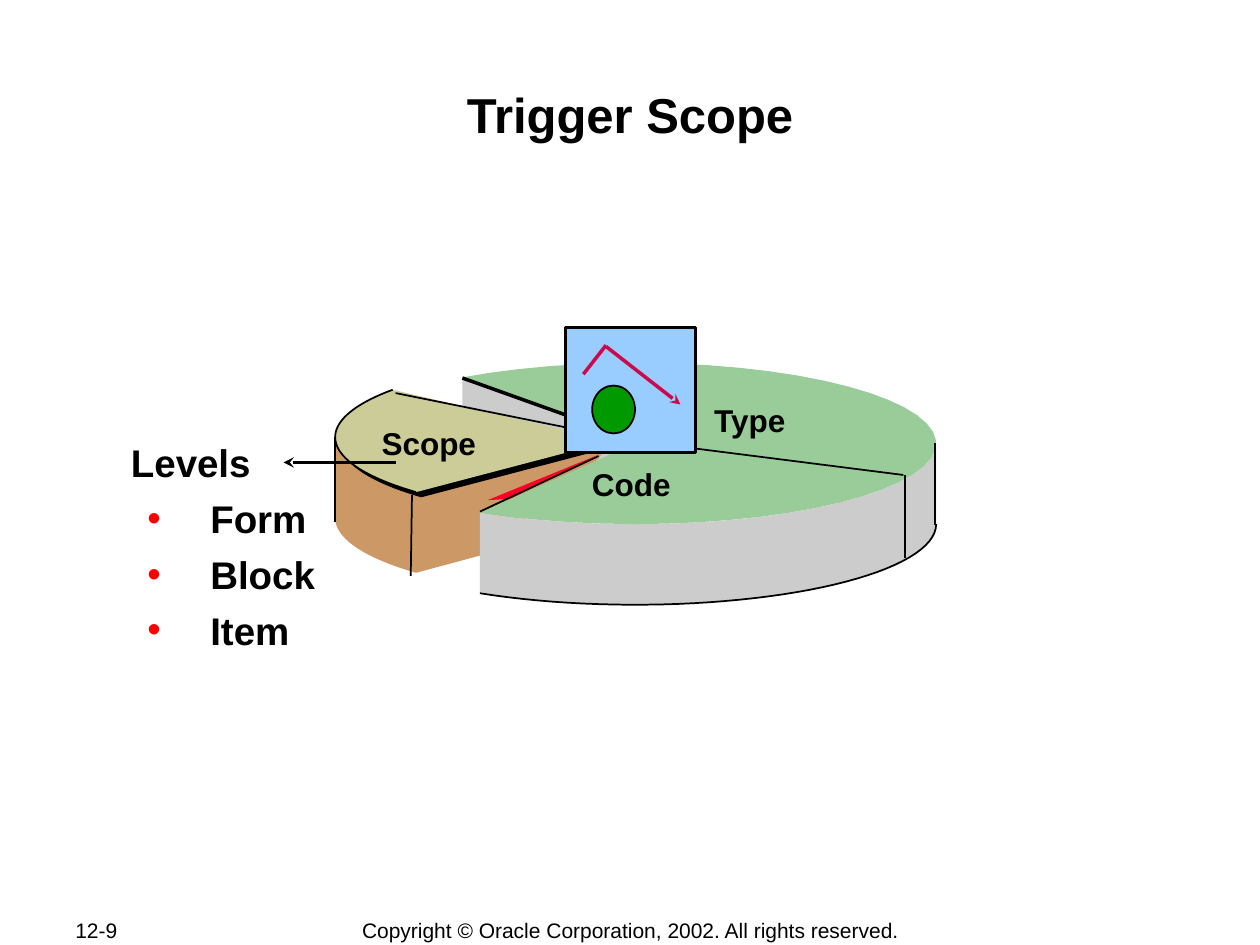
"""Build the Trigger Scope slide: an exploded pie with its levels and footer."""
import math

from lxml import etree
from pptx import Presentation
from pptx import util as u
from pptx.dml.color import RGBColor
from pptx.enum import shapes, text
from pptx.oxml import ns

COLORS = {name: RGBColor.from_string(code) for name, code in {
    "black": "000000", "green": "99CC99", "grey": "CCCCCC", "tan": "CC9966",
    "khaki": "CCCC99", "red": "FC0128", "sky": "99CCFF", "ball": "009900",
    "magenta": "CB0A4C"}.items()}

deck = Presentation()
deck.slide_width, deck.slide_height = u.Inches(10), u.Inches(7.5)
CELL = deck.slide_width // 10
page = deck.slides.add_slide(deck.slide_layouts[5])


def arc(center, start, end, drop=0):
    """Return points along the rim of the pie, in cells, between two angles."""
    angles = [math.radians(start + (end - start) * i / 40) for i in range(41)]
    return [(center[0] + 2.39 * math.cos(a), center[1] + drop + 0.64 * math.sin(a))
            for a in angles]


def outline(points, fill=None, line=None):
    """Draw a filled polygon, or an open curve when there is no fill."""
    spots = [(round(x * CELL), round(y * CELL)) for x, y in points]
    builder = page.shapes.build_freeform(*spots[0])
    builder.add_line_segments(spots[1:], close=fill is not None)
    shape = builder.convert_to_shape()
    shape.shadow.inherit = False
    if fill:
        shape.fill.solid()
        shape.fill.fore_color.rgb = COLORS[fill]
    else:
        shape.fill.background()
    if line:
        shape.line.color.rgb = COLORS[line]
        shape.line.width = u.Pt(1)
    else:
        shape.line.fill.background()
    return shape


title = page.shapes.title
title.left, title.top, title.width, title.height = (
    round(n * CELL) for n in (1, 0.62, 8, 0.92))
title.text_frame.text = "Trigger Scope"
title.text_frame.vertical_anchor = text.MSO_ANCHOR.TOP
heading = title.text_frame.paragraphs[0]
heading.alignment = text.PP_ALIGN.CENTER
heading.font.name, heading.font.size, heading.font.bold = "Arial", u.Pt(28), True
heading.font.color.rgb = COLORS["black"]

# Pie
pie, scope, depth = (5.04, 3.52), (5.05, 3.47), 0.64
outline([(3.67, 3), (5.04, 3.49), (5.04, 4), (3.67, 3.67)], "grey")
outline(arc(scope, 180, 137) + [(4.85, 3.5), (4.75, 3.64), (3.81, 4.41)]
        + arc(scope, 137, 180, depth), "tan")
outline(arc(pie, 0, 121) + arc(pie, 121, 0, depth), "grey")
outline([(4.75, 3.61), (3.87, 3.97), (4.05, 3.96)], "red")
outline(arc(pie, -125, 121) + [pie], "green")
outline(arc(pie, 0, 121, depth), line="black")

slice_top = outline(arc(scope, 216, 137) + [(4.85, 3.5)], "khaki")
effects = slice_top._element.spPr.find(ns.qn("a:effectLst"))
shadow = etree.SubElement(effects, ns.qn("a:outerShdw"), dist=str(u.Pt(4.2)),
                          dir="2700000", algn="ctr", rotWithShape="0")
etree.SubElement(shadow, ns.qn("a:srgbClr"), val=str(COLORS["black"]))
outline(arc(scope, 216, 137), line="black")

# Icon
for kind, left, top, width, height, fill, weight in (
        (shapes.MSO_SHAPE.RECTANGLE, 4.49, 2.6, 1.03, 0.99, "sky", 2),
        (shapes.MSO_SHAPE.OVAL, 4.7, 3.06, 0.34, 0.38, "ball", 1)):
    icon = page.shapes.add_shape(
        kind, *(round(n * CELL) for n in (left, top, width, height)))
    icon.shadow.inherit = False
    icon.fill.solid()
    icon.fill.fore_color.rgb = COLORS[fill]
    icon.line.color.rgb = COLORS["black"]
    icon.line.width = u.Pt(weight)

for x1, y1, x2, y2, color, weight, arrow in (
        (3.67, 3, 4.48, 3.29, "black", 2, None),
        (3.14, 3.12, 4.48, 3.39, "black", 1, None),
        (5.52, 3.56, 7.17, 3.77, "black", 1, None),
        (3.81, 4.06, 4.75, 3.62, "black", 1, None),
        (2.66, 3.47, 2.66, 4.14, "black", 1, None),
        (3.27, 3.93, 3.26, 4.57, "black", 1, None),
        (7.18, 3.77, 7.18, 4.43, "black", 1, None),
        (7.42, 3.52, 7.42, 4.17, "black", 1, None),
        (3.14, 3.67, 2.25, 3.67, "black", 2, "stealth"),
        (4.81, 2.74, 4.63, 2.97, "magenta", 2, None),
        (4.81, 2.75, 5.4, 3.21, "magenta", 2, "stealth")):
    edge = page.shapes.add_connector(
        shapes.MSO_CONNECTOR.STRAIGHT, *(round(n * CELL) for n in (x1, y1, x2, y2)))
    edge.line.color.rgb = COLORS[color]
    edge.line.width = u.Pt(weight)
    if arrow:
        etree.SubElement(edge.line._get_or_add_ln(), ns.qn("a:tailEnd"), type=arrow)
    etree.SubElement(edge._element.spPr, ns.qn("a:effectLst"))

# Text
LEFT, CENTER = text.PP_ALIGN.LEFT, text.PP_ALIGN.CENTER
for lines, left, top, width, height, size, bold, align, inset in (
        (["Levels", "Form", "Block", "Item"], 1.03, 3.48, 1.7, 1.72, 22, True, LEFT, 0.01),
        (["Type"], 5.57, 3.13, 0.79, 0.4, 18, True, LEFT, 0.1),
        (["Code"], 4.6, 3.64, 1.17, 0.4, 18, True, LEFT, 0.1),
        (["Scope"], 2.93, 3.32, 0.95, 0.4, 18, True, LEFT, 0.1),
        (["12-9"], 0.5, 7.28, 1.06, 0.2, 12, False, LEFT, 0.1),
        (["Copyright © Oracle Corporation, 2002. All rights reserved."],
         2.76, 7.28, 4.49, 0.21, 12, False, CENTER, 0.1)):
    box = page.shapes.add_textbox(*(round(n * CELL) for n in (left, top, width, height)))
    frame = box.text_frame
    frame.word_wrap = True
    frame.margin_left = frame.margin_right = round(inset * CELL)
    frame.margin_top = frame.margin_bottom = round(inset * CELL / 2)
    frame.vertical_anchor = text.MSO_ANCHOR.TOP if bold else text.MSO_ANCHOR.MIDDLE
    frame.text = "\n".join(lines)
    for index, para in enumerate(frame.paragraphs):
        para.alignment = align
        if index:
            para.level = 1
            para.space_before = u.Pt(5.5)
            props = para._p.get_or_add_pPr()
            props.set("marL", str(round(0.63 * CELL)))
            props.set("indent", str(round(-0.5 * CELL)))
            tint = etree.SubElement(props, ns.qn("a:buClr"))
            etree.SubElement(tint, ns.qn("a:srgbClr"), val="FF0000")
            etree.SubElement(props, ns.qn("a:buFont"), typeface="Arial")
            etree.SubElement(props, ns.qn("a:buChar"), char="•")
        para.font.name, para.font.size, para.font.bold = "Arial", u.Pt(size), bold
        para.font.color.rgb = COLORS["black"]

deck.save("out.pptx")
